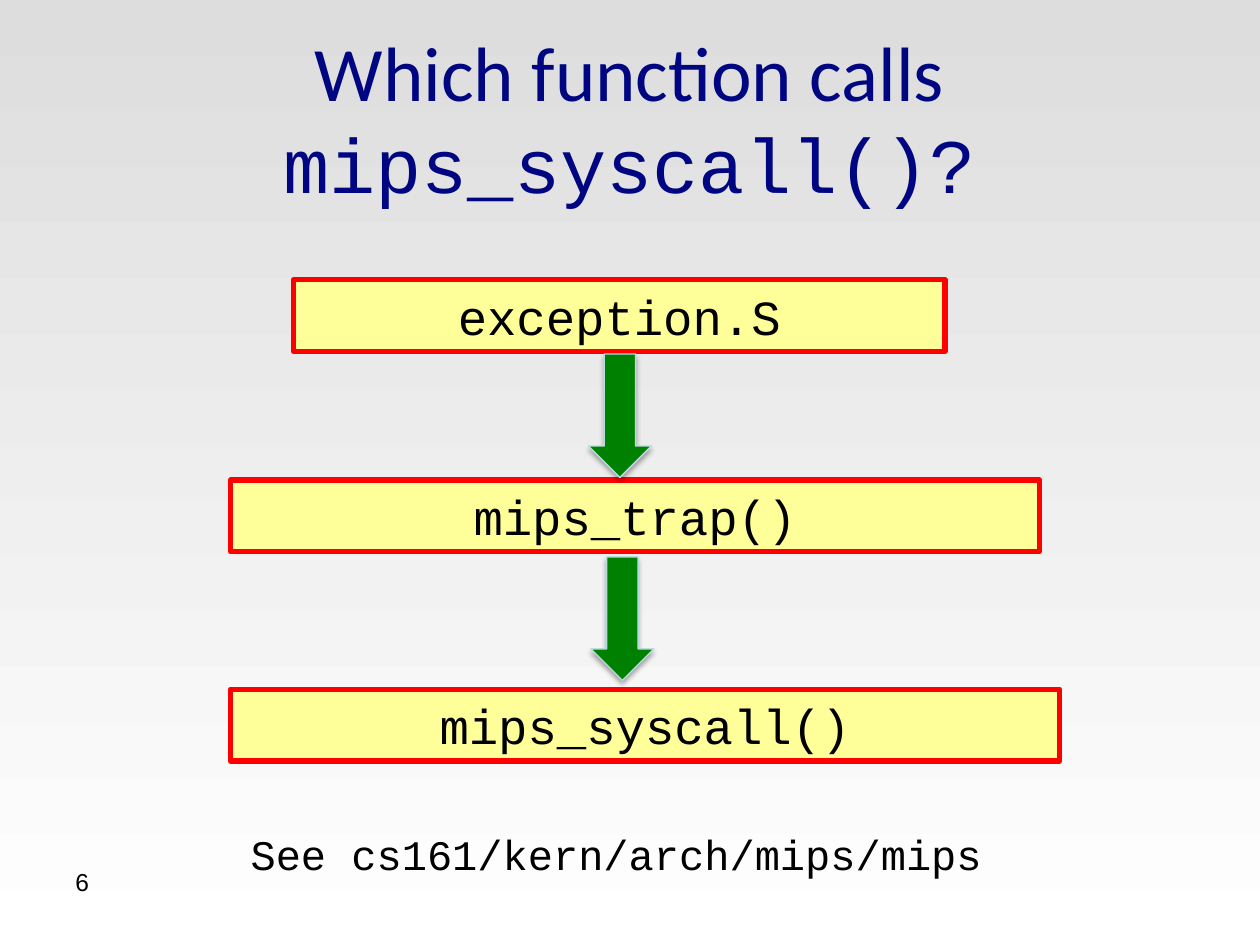
from lxml import etree
from pptx import Presentation
from pptx import util as u
from pptx.dml.color import RGBColor
from pptx.enum import shapes, text
from pptx.oxml.ns import qn

MONO = "Courier New"


def colour(value):
    return RGBColor.from_string(value)


class CallChart:
    """Style and current slide of a call-chain diagram."""

    ink, navy = "000000", "000681"
    box_fill, box_line = "FFFF99", "FF0000"
    arrow_fill, arrow_line = "008000", "B6DCDF"

    def __init__(self, deck):
        self.page = deck.slides.add_slide(deck.slide_layouts[6])

    def background(self, top, bottom):
        fill = self.page.background.fill
        fill.gradient()
        fill.gradient_angle = 270
        for stop, value in zip(fill.gradient_stops, (top, bottom)):
            stop.color.rgb = colour(value)

    def set_text(self, shape, words, size, font, value, centred):
        frame = shape.text_frame
        frame.word_wrap = True
        frame.vertical_anchor = text.MSO_ANCHOR.MIDDLE if centred else text.MSO_ANCHOR.TOP
        para = frame.paragraphs[0]
        para.text = words
        para.alignment = text.PP_ALIGN.CENTER if centred else text.PP_ALIGN.LEFT
        para.font.size = u.Pt(size)
        para.font.name = font
        para.font.color.rgb = colour(value)
        return para

    def label(self, place, words, size, font, value=ink, centred=False):
        box = self.page.shapes.add_textbox(*map(u.Inches, place))
        return self.set_text(box, words, size, font, value, centred)

    def shape(self, kind, place, fill, line, width):
        item = self.page.shapes.add_shape(kind, *map(u.Inches, place))
        item.shadow.inherit = False
        item.fill.solid()
        item.fill.fore_color.rgb = colour(fill)
        item.line.color.rgb = colour(line)
        item.line.width = u.Pt(width)
        return item

    def function_box(self, left, top, width, words):
        box = self.shape(shapes.MSO_SHAPE.RECTANGLE, (left, top, width, 0.57),
                         self.box_fill, self.box_line, 3)
        self.set_text(box, words, 28, MONO, self.ink, centred=True)

    def arrow(self, left, top):
        item = self.shape(shapes.MSO_SHAPE.DOWN_ARROW, (left, top, 0.5, 0.98),
                          self.arrow_fill, self.arrow_line, 0.75)
        # Soft shadow straight below the arrow
        effects = item._element.spPr.find(qn("a:effectLst"))
        shadow = etree.SubElement(effects, qn("a:outerShdw"), blurRad=str(u.Pt(3.1)),
                                  dist=str(u.Pt(1.8)), dir="5400000", rotWithShape="0")
        tint = etree.SubElement(shadow, qn("a:srgbClr"), val=self.ink)
        etree.SubElement(tint, qn("a:alpha"), val="35000")


def main():
    deck = Presentation()
    deck.slide_width, deck.slide_height = u.Inches(10), u.Inches(7.5)
    chart = CallChart(deck)
    chart.background("DDDDDD", "FFFFFF")

    # Title, with the function name in monospace
    title = chart.label((0.5, 0.3, 9, 1.25), "Which function calls ", 44, "Calibri",
                        chart.navy, centred=True)
    span = title.add_run()
    span.text = "mips_syscall()?"
    span.font.name = MONO

    # Call chain
    for left, top, width, words in (
        (2.33, 2.22, 5.17, "exception.S"),
        (1.83, 3.81, 6.42, "mips_trap()"),
        (1.83, 5.47, 6.58, "mips_syscall()"),
    ):
        chart.function_box(left, top, width, words)
    for left, top in ((4.67, 2.81), (4.69, 4.42)):
        chart.arrow(left, top)

    # Source path and page number
    chart.label((1.89, 6.53, 6.08, 0.91), "See cs161/kern/arch/mips/mips", 24, MONO)
    chart.label((0.5, 6.83, 2.33, 0.52), "6", 14, "Arial")

    deck.save("out.pptx")


if __name__ == "__main__":
    main()
